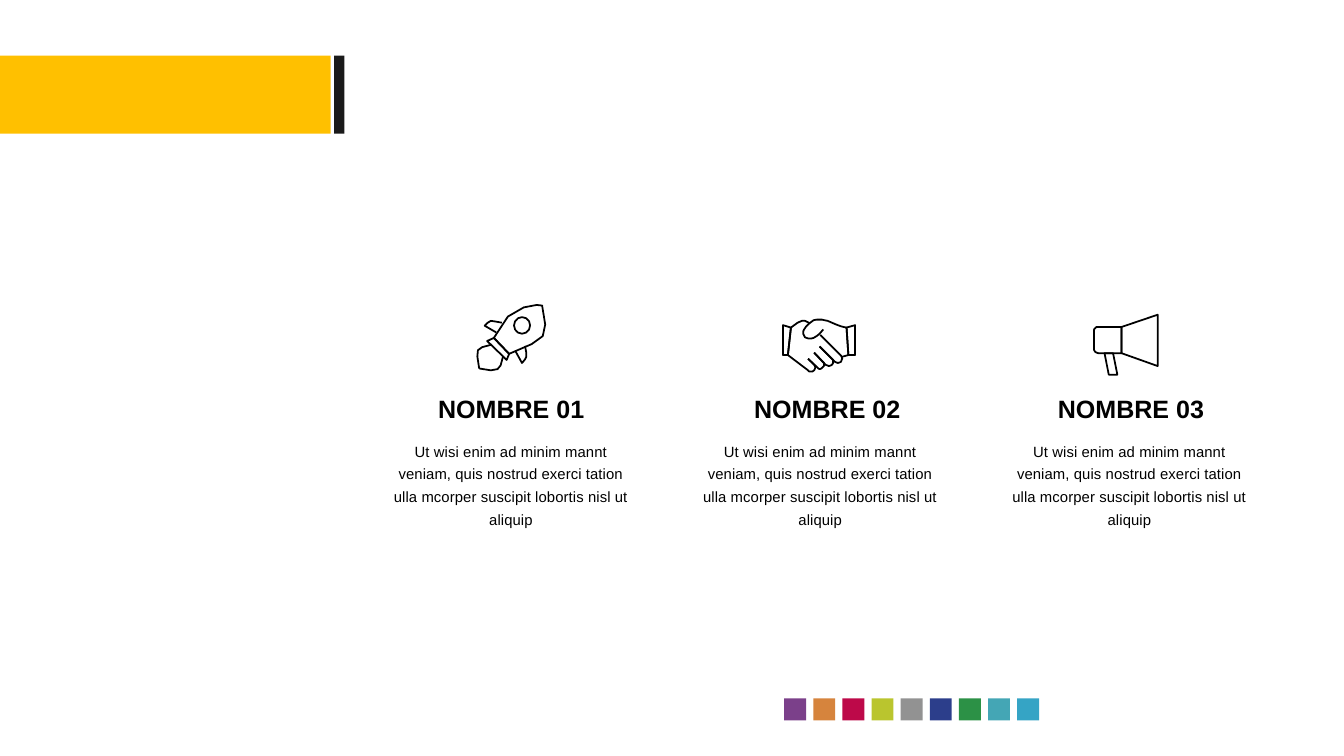
"""Build a slide with three icon columns, a header bar and a colour strip."""
from dataclasses import dataclass
from typing import Any, NamedTuple

import pptx
import pptx.dml.color
import pptx.enum.shapes
import pptx.enum.text
import pptx.util

Cm = pptx.util.Cm
Pt = pptx.util.Pt
SHAPE = pptx.enum.shapes.MSO_SHAPE
CENTER = pptx.enum.text.PP_ALIGN.CENTER
LEFT = pptx.enum.text.PP_ALIGN.LEFT

BLACK = "000000"
ICON_UNIT = Cm(2.54) / 100
ICON_LINE = Pt(2.06)
COLUMN_LEFT, COLUMN_PITCH = 16.33, 12.85
SWATCH_LEFT, SWATCH_PITCH = 32.59, 1.21
SWATCHES = ["7B408A", "D6843D", "BD0949", "BAC52E", "929292",
            "2C3E8B", "2C9146", "44A6B5", "35A4C5"]
BODY = ("Ut wisi enim ad minim mannt veniam, quis nostrud exerci tation "
        "ulla mcorper suscipit lobortis nisl ut aliquip")
HEADING_FONT = {"name": "Arial", "size": Pt(29.5), "bold": True}
BODY_FONT = {"name": "Arial", "size": Pt(17.5), "bold": False}


class Box(NamedTuple):
    left: float
    top: float
    width: float
    height: float


class Outline(NamedTuple):
    points: list[tuple[int, int]]
    closed: bool = False


@dataclass
class Column:
    heading: str
    align: Any
    indent: float
    icon: list[Outline]
    porthole: Box | None = None


ROCKET = [
    Outline([(808, 553), (831, 518), (857, 503), (878, 499), (887, 500),
             (892, 531), (888, 550), (870, 563), (833, 579)], True),
    Outline([(833, 579), (808, 553), (797, 558), (829, 589)], True),
    Outline([(859, 566), (861, 577), (861, 584), (859, 588), (854, 594), (843, 574)]),
    Outline([(821, 528), (810, 526), (803, 525), (798, 528), (793, 533), (812, 544)]),
    Outline([(823, 583), (819, 598), (814, 604), (803, 606), (784, 603)]),
    Outline([(804, 564), (789, 568), (782, 573), (781, 583), (784, 603)]),
]
HANDSHAKE = [
    Outline([(1342, 548), (1376, 582), (1377, 584), (1378, 587), (1377, 589),
             (1376, 592), (1374, 593), (1371, 594), (1368, 593), (1366, 592),
             (1341, 567)]),
    Outline([(1341, 567), (1361, 587), (1363, 589), (1363, 592), (1363, 594),
             (1361, 597), (1359, 598), (1356, 599), (1354, 598), (1351, 597),
             (1332, 577)]),
    Outline([(1332, 577), (1346, 592), (1348, 594), (1348, 597), (1348, 599),
             (1346, 601), (1344, 603), (1341, 604), (1339, 603), (1337, 601),
             (1322, 587)]),
    Outline([(1322, 587), (1332, 597), (1333, 599), (1334, 601), (1333, 604),
             (1332, 606), (1329, 608), (1327, 608), (1324, 608), (1322, 606),
             (1289, 581), (1294, 536), (1305, 528), (1312, 525), (1317, 525),
             (1325, 529)]),
    Outline([(1347, 539), (1341, 546), (1336, 550), (1331, 553), (1327, 554),
             (1323, 554), (1317, 552), (1314, 546), (1314, 543), (1315, 540),
             (1319, 534), (1323, 530), (1327, 527), (1331, 524), (1336, 523),
             (1340, 523), (1345, 523), (1349, 524), (1354, 525), (1368, 531),
             (1376, 534), (1380, 535), (1385, 536), (1388, 581), (1377, 584)]),
    Outline([(1399, 581), (1388, 581), (1385, 536), (1399, 532)], True),
    Outline([(1281, 581), (1289, 581), (1294, 536), (1281, 532)], True),
]
MEGAPHONE = [
    Outline([(1894, 599), (1835, 578), (1835, 535), (1894, 515)], True),
    Outline([(1797, 578), (1835, 578), (1835, 535), (1797, 535), (1794, 535),
             (1792, 537), (1790, 539), (1790, 542), (1790, 571), (1790, 573),
             (1792, 576), (1794, 577)], True),
    Outline([(1828, 613), (1814, 613), (1807, 578), (1821, 578)], True),
]
COLUMNS = [
    Column("NOMBRE 01", CENTER, 0.05, ROCKET, Box(21.36, 13.18, 0.67, 0.69)),
    Column("NOMBRE 02", LEFT, 2.16, HANDSHAKE),
    Column("NOMBRE 03", LEFT, 1.93, MEGAPHONE),
]


def rgb(code: str) -> pptx.dml.color.RGBColor:
    return pptx.dml.color.RGBColor.from_string(code)


def apply(target: Any, values: dict[str, Any]) -> None:
    for name, value in values.items():
        setattr(target, name, value)


def draw_block(shapes: Any, box: Box, colour: str) -> None:
    sp = shapes.add_shape(SHAPE.RECTANGLE, *map(Cm, box))
    sp.shadow.inherit = False
    sp.fill.solid()
    sp.fill.fore_color.rgb = rgb(colour)
    sp.line.fill.background()


def style_icon_part(sp: Any) -> None:
    sp.shadow.inherit = False
    sp.fill.background()
    sp.line.color.rgb = rgb(BLACK)
    sp.line.width = ICON_LINE


def draw_icon(shapes: Any, column: Column) -> None:
    group = shapes.add_group_shape()
    for outline in column.icon:
        builder = group.shapes.build_freeform(*outline.points[0], scale=ICON_UNIT)
        builder.add_line_segments(outline.points[1:], close=outline.closed)
        style_icon_part(builder.convert_to_shape())
    if column.porthole:
        style_icon_part(group.shapes.add_shape(SHAPE.OVAL, *map(Cm, column.porthole)))


def write(p: Any, text: str, indent: float, font: dict[str, Any],
          layout: dict[str, Any]) -> Any:
    pPr = p._p.get_or_add_pPr()
    pPr.set("marL", str(Cm(indent)))
    pPr.set("indent", "0")
    apply(p, layout)
    r = p.add_run()
    r.text = text
    apply(r.font, font)
    r.font.color.rgb = rgb(BLACK)
    return r


def draw_text(shapes: Any, column: Column, left: float) -> None:
    tf = shapes.add_textbox(Cm(left), Cm(16.28), Cm(9.78), Cm(5.66)).text_frame
    apply(tf, {"word_wrap": True, "margin_left": 0, "margin_right": 0,
               "margin_top": Cm(0.09), "margin_bottom": 0,
               "auto_size": pptx.enum.text.MSO_AUTO_SIZE.SHAPE_TO_FIT_TEXT})
    write(tf.paragraphs[0], column.heading, column.indent, HEADING_FONT,
          {"alignment": column.align})
    r = write(tf.add_paragraph(), BODY, 0.03, BODY_FONT,
              {"alignment": CENTER, "line_spacing": 1.27, "space_before": Pt(16.2)})
    r._r.get_or_add_rPr().set("spc", "10")


def main() -> None:
    prs = pptx.Presentation()
    apply(prs, {"slide_width": Cm(55.85), "slide_height": Cm(31.42)})
    s = prs.slides.add_slide(prs.slide_layouts[6])
    draw_block(s.shapes, Box(0, 2.31, 13.74, 3.25), "FFC000")
    draw_block(s.shapes, Box(13.89, 2.31, 0.42, 3.25), "1A1A1A")
    strip = s.shapes.add_group_shape()
    for i, colour in enumerate(SWATCHES):
        draw_block(strip.shapes,
                   Box(SWATCH_LEFT + i * SWATCH_PITCH, 29.03, 0.91, 0.91), colour)
    for i, column in enumerate(COLUMNS):
        draw_text(s.shapes, column, COLUMN_LEFT + i * COLUMN_PITCH)
        draw_icon(s.shapes, column)
    prs.save("out.pptx")


if __name__ == "__main__":
    main()
